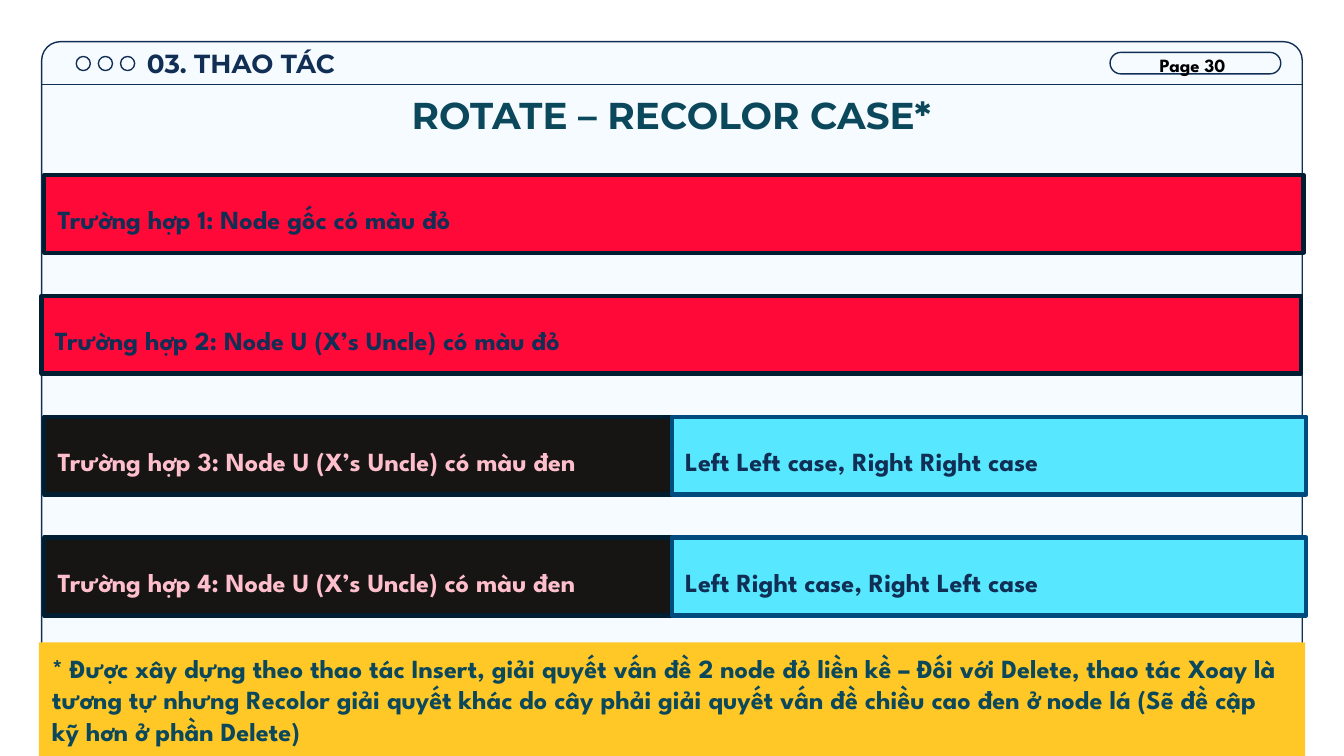
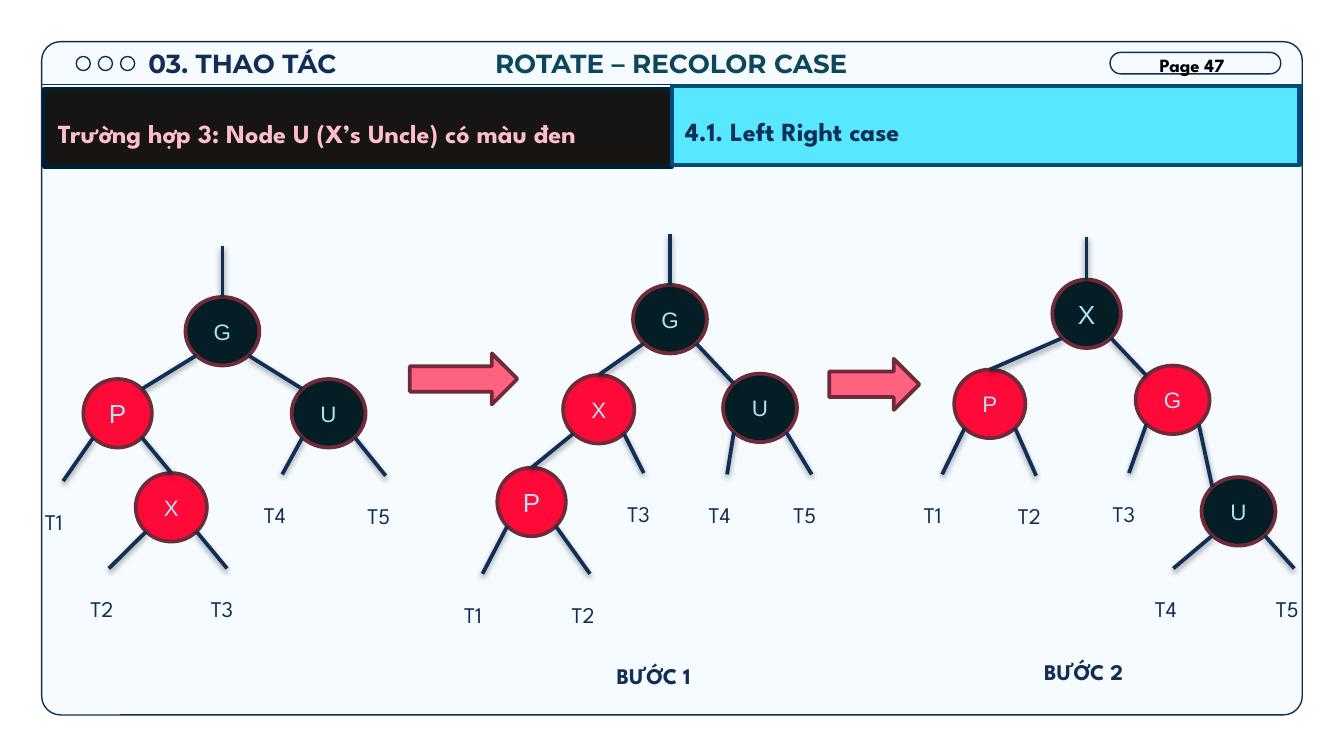
from lxml.etree import SubElement
from pptx import Presentation
from pptx.dml.color import RGBColor
from pptx.enum.shapes import MSO_CONNECTOR, MSO_SHAPE
from pptx.enum.text import MSO_ANCHOR, MSO_AUTO_SIZE, PP_ALIGN
from pptx.oxml.ns import qn
from pptx.util import Inches, Pt

NAVY, TEAL, PANEL = "112E54", "0C485C", "F5FBFF"
RED, BLACK_NODE, NODE_EDGE, NODE_TEXT = "FF0939", "051D25", "702B38", "AEE2F4"
BLACK_BAND, DARK_EDGE, PINK_TEXT = "161514", "001E32", "FFBECB"
CYAN, BLUE_EDGE, YELLOW, ARROW_PINK = "57E8FF", "004B7D", "FFC826", "FF6180"
HEADING_FONT, BODY_FONT, NODE_FONT = "Montserrat", "League Spartan", "Arial"
RED_BAND_STYLE = (RED, DARK_EDGE, 2.25)
BLACK_BAND_STYLE = (BLACK_BAND, DARK_EDGE, 2.25)
CYAN_BAND_STYLE = (CYAN, BLUE_EDGE, 2.25)

presentation = Presentation()
presentation.slide_width = Inches(10)
presentation.slide_height = presentation.slide_width * 9 // 16
CELL = presentation.slide_width / 100  # square grid, 100 columns wide
colour = RGBColor.from_string


def put(slide, kind, at, fill=None, line=None, weight=0.75, placeholder=None):
    """Place a preset shape, a text box (kind None) or a placeholder on the grid."""
    box = [round(value * CELL) for value in at]
    if placeholder is not None:
        shape = placeholder
        shape.left, shape.top, shape.width, shape.height = box
        slide.shapes.element.append(shape.element)  # in front of the panel
    elif kind is None:
        shape = slide.shapes.add_textbox(*box)
    else:
        shape = slide.shapes.add_shape(kind, *box)
        shape.shadow.inherit = False
    if fill:
        shape.fill.solid()
        shape.fill.fore_color.rgb = colour(fill)
    else:
        shape.fill.background()
    if line:
        shape.line.color.rgb = colour(line)
        shape.line.width = Pt(weight)
    else:
        shape.line.fill.background()
    return shape


def write(shape, text, size, color=NAVY, font=BODY_FONT, bold=True,
          align=PP_ALIGN.LEFT, anchor=MSO_ANCHOR.TOP, spacing=1.0, inset=0.05):
    frame = shape.text_frame
    frame.word_wrap = True
    frame.auto_size = MSO_AUTO_SIZE.NONE
    frame.vertical_anchor = anchor
    frame.margin_left = frame.margin_right = Inches(0.1)
    frame.margin_top = frame.margin_bottom = Inches(inset)
    paragraph = frame.paragraphs[0]
    paragraph.alignment = align
    paragraph.line_spacing = spacing
    paragraph.space_before = Pt(0)
    run = paragraph.add_run()
    run.text = text
    run.font.size = Pt(size)
    run.font.name = font
    run.font.bold = bold
    run.font.color.rgb = colour(color)


centred = {"align": PP_ALIGN.CENTER, "anchor": MSO_ANCHOR.MIDDLE}
label_format = {"spacing": 1.5, "inset": 0.1}

# Shared window: panel, header bar, section name, page pill and title
slides = []
for layout, page, section_at, title, title_at, title_size in (
    (5, "Page 30", (9.3, 2.5, 17.3, 4.6),
     "ROTATE – RECOLOR CASE*", (3.2, 6.2, 93.5, 4.6), 20),
    (0, "Page 47", (9.7, 2.5, 16.7, 4.6),
     "ROTATE – RECOLOR CASE", (29.5, 3.1, 40.9, 3.2), 14),
):
    slide = presentation.slides.add_slide(presentation.slide_layouts[layout])
    slides.append(slide)
    panel = put(slide, MSO_SHAPE.ROUNDED_RECTANGLE, (3.1, 3.1, 93.8, 50.1), PANEL, NAVY)
    panel.adjustments[0] = 0.028
    for index in range(3):
        put(slide, MSO_SHAPE.OVAL, (5.67 + 1.65 * index, 4.2, 1.05, 1.05), None, NAVY)
    pill = put(slide, MSO_SHAPE.ROUNDED_RECTANGLE, (82.6, 3.9, 12.7, 1.6), None, NAVY)
    pill.adjustments[0] = 0.5
    header_line = slide.shapes.add_connector(
        MSO_CONNECTOR.STRAIGHT, *[round(value * CELL) for value in (3.1, 6.3, 96.9, 6.3)])
    header_line.line.color.rgb = colour(NAVY)
    header_line.line.width = Pt(0.75)
    SubElement(header_line.element.spPr, qn("a:effectLst"))
    write(put(slide, None, section_at), "03. THAO TÁC", 14, font=HEADING_FONT,
          align=PP_ALIGN.CENTER, inset=0.1)
    write(put(slide, None, (85.3, 3.5, 7.5, 2.7)), page, 10, "000000")
    write(put(slide, None, title_at, placeholder=slide.shapes.title), title, title_size,
          TEAL, HEADING_FONT, **centred)
cases_slide, rotation_slide = slides

# Slide 1: one row of bands for each case
case_rows = [
    [("Trường hợp 1: Node gốc có màu đỏ", 3.3, 93.7, RED_BAND_STYLE, NAVY)],
    [("Trường hợp 2: Node U (X’s Uncle) có màu đỏ", 3.1, 93.7, RED_BAND_STYLE, NAVY)],
    [("Trường hợp 3: Node U (X’s Uncle) có màu đen", 3.3, 46.8, BLACK_BAND_STYLE, PINK_TEXT),
     ("Left Left case, Right Right case", 50, 47.2, CYAN_BAND_STYLE, NAVY)],
    [("Trường hợp 4: Node U (X’s Uncle) có màu đen", 3.3, 46.8, BLACK_BAND_STYLE, PINK_TEXT),
     ("Left Right case, Right Left case", 50, 47.2, CYAN_BAND_STYLE, NAVY)],
]
for row, bands in enumerate(case_rows):
    for text, left, width, style, color in bands:
        band = put(cases_slide, MSO_SHAPE.RECTANGLE, (left, 13 + 9 * row, width, 5.8), *style)
        write(band, text, 14, color, **label_format)
note = put(cases_slide, MSO_SHAPE.RECTANGLE, (2.9, 47.8, 94.2, 8.5), YELLOW)
write(note, "* Được xây dựng theo thao tác Insert, giải quyết vấn đề 2 node đỏ liền kề – "
      "Đối với Delete, thao tác Xoay là tương tự nhưng Recolor giải quyết khác do cây phải "
      "giải quyết vấn đề chiều cao đen ở node lá (Sẽ đề cập kỹ hơn ở phần Delete)",
      14, TEAL, anchor=MSO_ANCHOR.MIDDLE)

# Slide 2: case bands, three trees, arrows and step captions
case_band = put(rotation_slide, None, (3.3, 6.6, 46.7, 5.8), *BLACK_BAND_STYLE,
                placeholder=rotation_slide.placeholders[1])
write(case_band, "Trường hợp 3: Node U (X’s Uncle) có màu đen", 14, PINK_TEXT, **label_format)
subcase_band = put(rotation_slide, MSO_SHAPE.RECTANGLE, (50, 6.4, 46.7, 5.9), *CYAN_BAND_STYLE)
write(subcase_band, "4.1. Left Right case", 14, **label_format)

LEFT, TOP, RIGHT = -1, 0, 1
# nodes: left, top, width, fill, text size
# branches: parent, parent's lower side, child, child's upper side
# leaves: parent, parent's lower side, label, column and row of the tip
trees = [
    {"root": "G", "stem": 3.8,
     "nodes": {"P": (6.2, 28.2, 5.1, RED, 14), "G": (13.8, 22.1, 5.5, BLACK_NODE, 12),
               "U": (21.7, 28.2, 5.5, BLACK_NODE, 12), "X": (10.1, 35.2, 5.3, RED, 12)},
     "branches": [("G", LEFT, "P", RIGHT), ("G", RIGHT, "U", LEFT), ("P", RIGHT, "X", TOP)],
     "leaves": [("P", LEFT, "T1", 4.7, 35.8), ("X", LEFT, "T2", 8.1, 42.3),
                ("X", RIGHT, "T3", 16.9, 42.3), ("U", LEFT, "T4", 21, 35.3),
                ("U", RIGHT, "T5", 28.7, 35.4)]},
    {"root": "G", "stem": 3.8,
     "nodes": {"P": (37, 34.8, 5.1, RED, 14), "G": (47.1, 21.2, 5.5, BLACK_NODE, 12),
               "U": (53.8, 27.8, 5.5, BLACK_NODE, 12), "X": (41.9, 27.9, 5.3, RED, 12)},
     "branches": [("G", LEFT, "X", TOP), ("G", RIGHT, "U", LEFT), ("X", LEFT, "P", TOP)],
     "leaves": [("P", LEFT, "T1", 35.9, 42.7), ("P", RIGHT, "T2", 43.9, 42.7),
                ("X", RIGHT, "T3", 47.9, 35.2), ("U", LEFT, "T4", 54.1, 35.3),
                ("U", RIGHT, "T5", 60.4, 35.3)]},
    {"root": "X", "stem": 3.2,
     "nodes": {"X": (78.3, 20.8, 5.1, BLACK_NODE, 14), "G": (84.5, 27.2, 5.5, RED, 12),
               "U": (89.4, 35.5, 5.5, BLACK_NODE, 12), "P": (71, 27.5, 5.3, RED, 12)},
     "branches": [("X", LEFT, "P", TOP), ("X", RIGHT, "G", LEFT), ("G", RIGHT, "U", LEFT)],
     "leaves": [("P", LEFT, "T1", 70.1, 35.3), ("P", RIGHT, "T2", 77.1, 35.4),
                ("G", LEFT, "T3", 84, 35.2), ("U", LEFT, "T4", 87.3, 42.3),
                ("U", RIGHT, "T5", 96.3, 42.3)]},
]
NODE_HEIGHT = 5.1
DIAGONAL = 0.5 ** 0.5 / 2  # reach of an ellipse's 45° point, as a share of its size

for tree in trees:
    node_shapes, node_points = {}, {}
    for name, (left, top, width, fill, size) in tree["nodes"].items():
        node = put(rotation_slide, MSO_SHAPE.FLOWCHART_CONNECTOR,
                   (left, top, width, NODE_HEIGHT), fill, NODE_EDGE, 2)
        write(node, name, size, NODE_TEXT, NODE_FONT, False, **centred)
        node_shapes[name] = node
        middle_x, middle_y = left + width / 2, top + NODE_HEIGHT / 2
        node_points[name] = {("upper", TOP): (middle_x, top)}
        for side in (LEFT, RIGHT):
            x = middle_x + side * width * DIAGONAL
            node_points[name]["upper", side] = (x, middle_y - NODE_HEIGHT * DIAGONAL)
            node_points[name]["lower", side] = (x, middle_y + NODE_HEIGHT * DIAGONAL)

    root_x, root_y = node_points[tree["root"]]["upper", TOP]
    # each line: start, end, node whose top the line ends at
    lines = [((root_x, root_y - tree["stem"]), (root_x, root_y), tree["root"])]
    for parent, side, child, child_side in tree["branches"]:
        lines.append((node_points[parent]["lower", side], node_points[child]["upper", child_side],
                      child if child_side == TOP else None))
    for parent, side, label, x, y in tree["leaves"]:
        lines.append((node_points[parent]["lower", side], (x, y), None))
        label_width = 4.4 if label == "T3" else 4.7
        write(put(rotation_slide, None, (x - label_width / 2, y, label_width, 4.4)),
              label, 12, bold=False, **label_format)

    for start, end, top_node in lines:
        connector = rotation_slide.shapes.add_connector(
            MSO_CONNECTOR.STRAIGHT, *[round(value * CELL) for value in start + end])
        if top_node:
            connector.end_connect(node_shapes[top_node], 0)
        connector.line.color.rgb = colour(NAVY)
        connector.line.width = Pt(2)
        effects = SubElement(connector.element.spPr, qn("a:effectLst"))
        shadow = SubElement(effects, qn("a:outerShdw"), blurRad=str(Pt(3.1)),
                            dist=str(Pt(1.6)), dir="5400000", rotWithShape="0")
        shadow_colour = SubElement(shadow, qn("a:srgbClr"), val="000000")
        SubElement(shadow_colour, qn("a:alpha"), val="38000")

for arrow_at in ((30.5, 26.3, 8, 3.8), (61.7, 26.7, 6.7, 3.8)):
    put(rotation_slide, MSO_SHAPE.RIGHT_ARROW, arrow_at, ARROW_PINK, NODE_EDGE, 2)
for caption, caption_at in (("BƯỚC 1", (44.9, 47.3, 9.9, 5.1)),
                            ("BƯỚC 2", (76.7, 47, 9.4, 5.1))):
    write(put(rotation_slide, None, caption_at), caption, 12, **label_format)

presentation.save("out.pptx")
